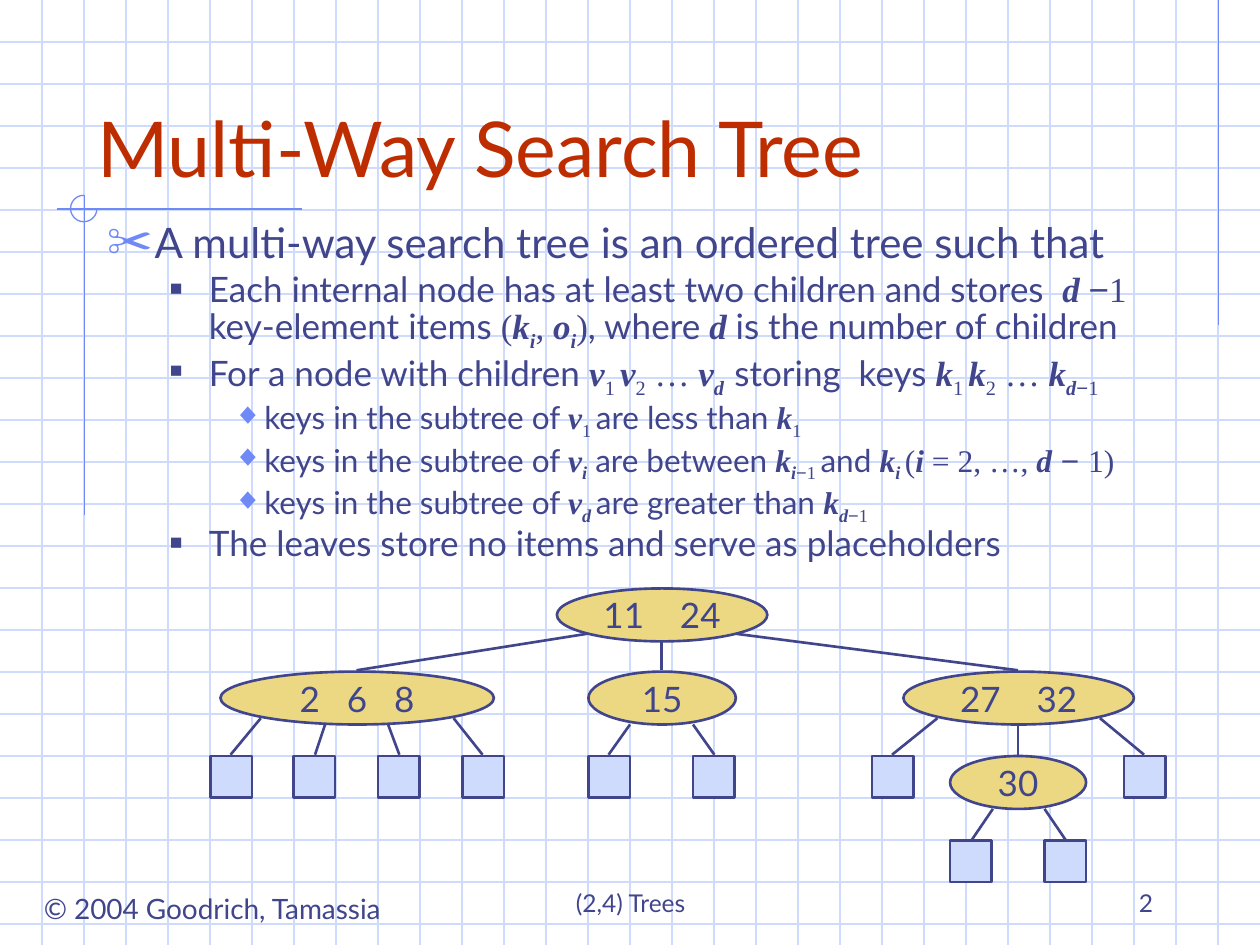
from lxml import etree
from pptx import Presentation
from pptx.dml.color import RGBColor
from pptx.enum import shapes, text
from pptx.oxml.ns import qn
from pptx.util import Inches, Pt

INK, RED, BLUE, GRID, GOLD = "40458C", "BE2D00", "6F89F7", "CFDBFD", "ECD882"


def color(target, value):
    """Colour a fill (made solid) or a font."""
    if hasattr(target, "solid"):
        target.solid()
        target.fore_color.rgb = RGBColor.from_string(value)
    else:
        target.color.rgb = RGBColor.from_string(value)


def add_line(x1, y1, x2, y2, stroke, width):
    line = slide.shapes.add_connector(
        shapes.MSO_CONNECTOR.STRAIGHT, Inches(x1), Inches(y1), Inches(x2), Inches(y2))
    color(line.line.fill, stroke)
    line.line.width = Pt(width)
    etree.SubElement(line._element.spPr, qn("a:effectLst"))


prs = Presentation()
prs.slide_width, prs.slide_height = Inches(10), Inches(7.5)
slide = prs.slides.add_slide(prs.slide_layouts[5])

# Graph-paper background, three squares to the inch
for row in range(1, 23):
    add_line(0, row / 3, 10, row / 3, GRID, 0.75)
for column in range(1, 30):
    add_line(column / 3, 0, column / 3, 7.5, GRID, 0.75)

# Blue accent lines and the open circle where they cross
for accent in [(9.67, 0, 9.67, 2.58), (2.4, 1.66, 0.45, 1.66), (0.67, 1.55, 0.67, 4.09)]:
    add_line(*accent, BLUE, 0.75)
circle = slide.shapes.add_shape(
    shapes.MSO_SHAPE.ARC, Inches(0.56), Inches(1.55), Inches(0.21), Inches(0.21))
circle.adjustments[0], circle.adjustments[1] = 0, 162  # 0 to 270 degrees
circle.shadow.inherit = False
circle.fill.background()
color(circle.line.fill, BLUE)
circle.line.width = Pt(0.75)

# Footer: copyright, topic and page number
footers = [
    ("© 2004 Goodrich, Tamassia", 0.16, 7.03, 3.05, 0.37, 16, "CENTER", "TOP", False),
    ("(2,4) Trees", 3.42, 6.83, 3.17, 0.5, 14, "CENTER", "BOTTOM", True),
    ("2", 7.17, 6.83, 2.08, 0.5, 14, "RIGHT", "BOTTOM", True),
]
for words, x, y, w, h, size, align, anchor, wrap in footers:
    footer = slide.shapes.add_textbox(Inches(x), Inches(y), Inches(w), Inches(h)).text_frame
    footer.word_wrap = wrap
    footer.vertical_anchor = text.MSO_ANCHOR[anchor]
    footer.text = words
    line = footer.paragraphs[0]
    line.alignment = text.PP_ALIGN[align]
    line.font.size, line.font.name = Pt(size), "Lato"
    color(line.font, INK)

# Title, brought in front of the background
title = slide.shapes.title
slide.shapes._spTree.append(title._element)
title.left, title.top, title.width, title.height = map(Inches, (0.67, 0.33, 8.92, 1.25))
title.text_frame.text = "Multi-Way Search Tree"
title.text_frame.vertical_anchor = text.MSO_ANCHOR.BOTTOM
title.text_frame.auto_size = text.MSO_AUTO_SIZE.NONE
heading = title.text_frame.paragraphs[0]
heading.alignment = text.PP_ALIGN.LEFT
heading.font.size, heading.font.name = Pt(44), "Lato"
color(heading.font, RED)

# Definition: runs are (words, style); "_" marks a subscript
LEVELS = [
    {"size": 24, "margin": 0.38, "hang": 0.38, "before": 6, "char": "✂", "tint": BLUE, "pct": 110},
    {"size": 20, "margin": 0.81, "hang": 0.31, "before": 5, "char": "■", "tint": INK, "pct": 60},
    {"size": 18, "margin": 1.25, "hang": 0.25, "before": 4.5, "char": "◆", "tint": BLUE, "pct": 95},
]
STYLES = {
    "plain": {"name": "Lato"},
    "math": {"name": "Times New Roman"},
    "var": {"name": "Times New Roman", "bold": True, "italic": True},
    "sign": {"name": "Arial"},
}
D_MINUS_1 = [("k", "var"), ("d", "var_"), ("−", "sign_"), ("1", "math_")]
definition = [
    (0, [("A multi-way search tree is an ordered tree such that", "plain")]),
    (1, [("Each internal node has at least two children and stores  ", "plain"),
         ("d ", "var"), ("−", "sign"), ("1 ", "math"), ("key-element items ", "plain"),
         ("(", "math"), ("k", "var"), ("i", "var_"), (", ", "math"), ("o", "var"),
         ("i", "var_"), (")", "math"), (", where ", "plain"), ("d ", "var"),
         ("is the number of children", "plain")]),
    (1, [("For a node with children ", "plain"), ("v", "var"), ("1 ", "math_"),
         ("v", "var"), ("2", "math_"), (" … ", "math"), ("v", "var"), ("d  ", "var_"),
         ("storing  keys ", "plain"), ("k", "var"), ("1 ", "math_"), ("k", "var"),
         ("2", "math_"), (" … ", "math"), *D_MINUS_1]),
    (2, [("keys in the subtree of ", "plain"), ("v", "var"), ("1 ", "math_"),
         ("are less than ", "plain"), ("k", "var"), ("1", "math_")]),
    (2, [("keys in the subtree of ", "plain"), ("v", "var"), ("i", "var_"),
         (" are between ", "plain"), ("k", "var"), ("i", "var_"), ("−", "sign_"),
         ("1 ", "math_"), ("and ", "plain"), ("k", "var"), ("i ", "var_"), ("(", "math"),
         ("i", "var"), (" = 2, …, ", "math"), ("d", "var"), (" − ", "sign"), ("1)", "math")]),
    (2, [("keys in the subtree of ", "plain"), ("v", "var"), ("d ", "var_"),
         ("are greater than ", "plain"), *D_MINUS_1]),
    (1, [("The leaves store no items and serve as placeholders", "plain")]),
]
body = slide.shapes.add_textbox(Inches(0.75), Inches(1.75), Inches(8.83), Inches(3)).text_frame
body.word_wrap = True
for index, (level, runs) in enumerate(definition):
    look = LEVELS[level]
    point = body.add_paragraph() if index else body.paragraphs[0]
    point.level = level
    point.line_spacing = 0.8
    point.space_before = Pt(look["before"] if index else 0)
    props = point._p.get_or_add_pPr()
    props.set("marL", str(Inches(look["margin"])))
    props.set("indent", str(-Inches(look["hang"])))
    tint = etree.SubElement(props, qn("a:buClr"))
    etree.SubElement(tint, qn("a:srgbClr"), val=look["tint"])
    etree.SubElement(props, qn("a:buSzPct"), val=str(look["pct"] * 1000))
    etree.SubElement(props, qn("a:buFont"), typeface="Arial")
    etree.SubElement(props, qn("a:buChar"), char=look["char"])
    for words, style in runs:
        run = point.add_run()
        run.text = words
        run.font.size = Pt(look["size"])
        color(run.font, INK)
        for key, value in STYLES[style.rstrip("_")].items():
            setattr(run.font, key, value)
        if style.endswith("_"):
            run._r.get_or_add_rPr().set("baseline", "-25000")

# Tree nodes (ellipses with keys) and leaves (empty squares)
nodes = [
    ("11    24", 4.42, 4.67, 1.67), ("2   6   8", 1.75, 5.33, 2.17), ("15", 4.67, 5.33, 1.17),
    ("30", 7.54, 6, 1.08), ("27    32", 7.17, 5.33, 1.83),
]
leaves = [(x, 6) for x in (1.67, 2.33, 3, 3.67, 4.67, 5.5, 6.92, 8.92)] + [(7.54, 6.67), (8.29, 6.67)]
parts = [("OVAL", keys, x, y, w, 0.42, GOLD) for keys, x, y, w in nodes]
parts += [("RECTANGLE", "", x, y, 0.33, 0.33, GRID) for x, y in leaves]
for kind, keys, x, y, w, h, fill in parts:
    part = slide.shapes.add_shape(
        shapes.MSO_SHAPE[kind], Inches(x), Inches(y), Inches(w), Inches(h))
    part.shadow.inherit = False
    color(part.fill, fill)
    color(part.line.fill, INK)
    part.line.width = Pt(1.5)
    if keys:
        part.text_frame.word_wrap = False
        part.text_frame.text = keys
        label = part.text_frame.paragraphs[0]
        label.alignment = text.PP_ALIGN.CENTER
        label.font.size, label.font.name = Pt(20), "Lato"
        color(label.font, INK)

# Edges, grouped by the level of the child: (parent x, parent y, child x)
edges = {
    5.32: [(4.66, 5.03, 2.83), (5.25, 5.09, 5.25), (5.84, 5.03, 8.08)],
    5.99: [(2.07, 5.7, 1.83), (2.58, 5.75, 2.5), (3.08, 5.75, 3.17), (3.6, 5.7, 3.83),
           (5, 5.75, 4.83), (5.5, 5.75, 5.67),
           (7.44, 5.7, 7.08), (8.08, 5.76, 8.08), (8.73, 5.7, 9.08)],
    6.67: [(7.88, 6.42, 7.71), (8.29, 6.42, 8.46)],
}
for child_y, group in edges.items():
    for parent_x, parent_y, child_x in group:
        add_line(parent_x, parent_y, child_x, child_y, INK, 1.5)

prs.save("out.pptx")
